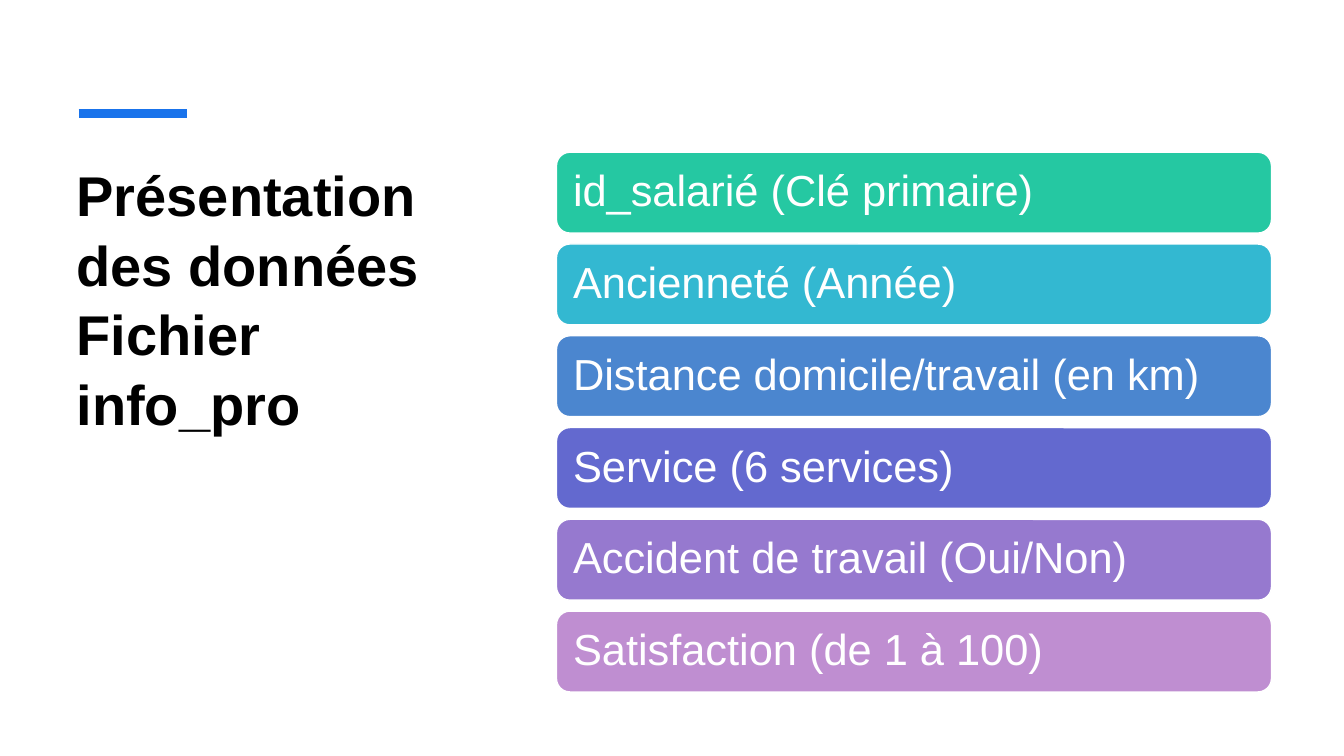
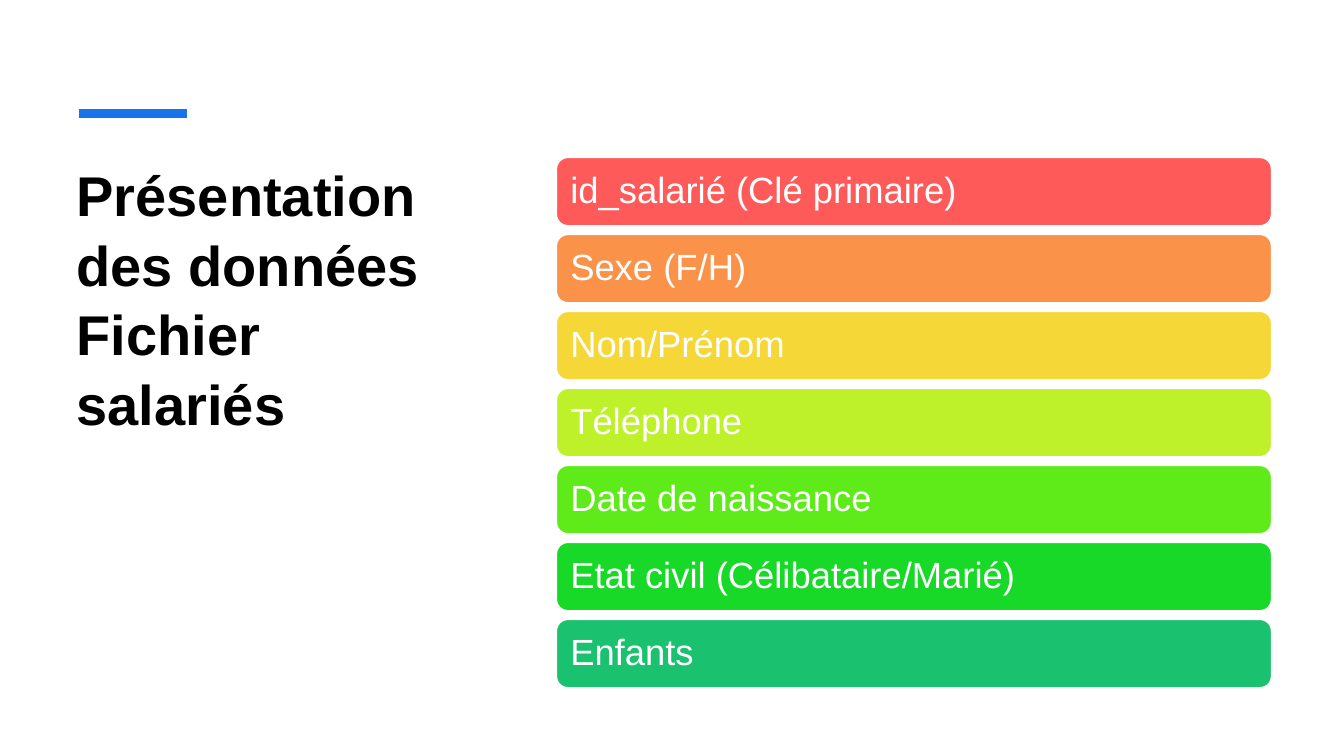
from dataclasses import dataclass

from lxml.etree import SubElement
from pptx import Presentation
from pptx.dml.color import RGBColor
from pptx.enum.shapes import MSO_CONNECTOR, MSO_SHAPE
from pptx.enum.text import MSO_ANCHOR, PP_ALIGN
from pptx.oxml.ns import qn
from pptx.util import Emu, Pt


@dataclass(frozen=True)
class Theme:
    font: str = "Arial"
    ink: str = "000000"
    paper: str = "FFFFFF"
    accent: str = "1973EB"
    title_size: int = 40
    accent_weight: int = 6
    outline_weight: int = 1


@dataclass(frozen=True)
class FieldStack:
    """Vertical extent, bar height (px) and text size (pt) of a list of fields."""
    top: int
    bottom: int
    bar_height: int
    text_size: int


THEME = Theme()
FIELD_LEFT, FIELD_WIDTH = 530, 681

INFO_PRO_FIELDS = [
    ("id_salarié (Clé primaire)", "25C8A2"),
    ("Ancienneté (Année)", "33B8D1"),
    ("Distance domicile/travail (en km)", "4B86CF"),
    ("Service (6 services)", "6369CF"),
    ("Accident de travail (Oui/Non)", "9679CF"),
    ("Satisfaction (de 1 à 100)", "BF8ED1"),
]
EMPLOYEE_FIELDS = [
    ("id_salarié (Clé primaire)", "FE5A5A"),
    ("Sexe (F/H)", "FA9349"),
    ("Nom/Prénom", "F6D738"),
    ("Téléphone", "BEF129"),
    ("Date de naissance", "5FEB1A"),
    ("Etat civil (Célibataire/Marié)", "18D828"),
    ("Enfants", "1AC16E"),
]


def px(length):
    return Emu(round(length * 9525))


def rgb(code):
    return RGBColor.from_string(code)


def set_margins(frame, margin):
    frame.margin_left = frame.margin_right = px(margin)
    frame.margin_top = frame.margin_bottom = px(margin)


def style_paragraph(paragraph, size, color, spacing, bold=False):
    paragraph.alignment = PP_ALIGN.LEFT
    paragraph.line_spacing = spacing
    font = paragraph.font
    font.name, font.size, font.bold = THEME.font, Pt(size), bold
    font.color.rgb = rgb(color)


def add_accent_line(slide):
    accent = slide.shapes.add_connector(
        MSO_CONNECTOR.STRAIGHT, px(75), px(108), px(178), px(108))
    accent.line.color.rgb = rgb(THEME.accent)
    accent.line.width = Pt(THEME.accent_weight)
    SubElement(accent._element.spPr, qn("a:effectLst"))


def add_title(slide, title):
    frame = slide.shapes.add_textbox(px(67), px(144), px(386), px(412)).text_frame
    frame.word_wrap = True
    set_margins(frame, 6)
    frame.text = title
    style_paragraph(frame.paragraphs[0], THEME.title_size, THEME.ink, 1.04, bold=True)


def add_field(slide, label, fill, top, stack):
    bar = slide.shapes.add_shape(
        MSO_SHAPE.ROUNDED_RECTANGLE,
        px(FIELD_LEFT), px(top), px(FIELD_WIDTH), px(stack.bar_height))
    bar.shadow.inherit = False
    bar.fill.solid()
    bar.fill.fore_color.rgb = rgb(fill)
    bar.line.color.rgb = rgb(THEME.paper)
    bar.line.width = Pt(THEME.outline_weight)
    frame = bar.text_frame
    frame.word_wrap = True
    frame.vertical_anchor = MSO_ANCHOR.MIDDLE
    set_margins(frame, round(stack.text_size * 0.4))
    frame.text = label
    style_paragraph(frame.paragraphs[0], stack.text_size, THEME.paper, 0.9)


def add_fields(slide, fields, stack):
    """Spread the bars evenly from the top to the bottom of the stack."""
    pitch = (stack.bottom - stack.bar_height - stack.top) / (len(fields) - 1)
    for row, (label, fill) in enumerate(fields):
        add_field(slide, label, fill, stack.top + row * pitch, stack)


def add_file_slide(deck, file_name, fields, stack):
    slide = deck.slides.add_slide(deck.slide_layouts[6])
    add_title(slide, f"Présentation des données\vFichier {file_name}")
    add_accent_line(slide)
    add_fields(slide, fields, stack)


def main():
    deck = Presentation()
    deck.slide_width, deck.slide_height = px(1280), px(720)
    add_file_slide(deck, "info_pro", INFO_PRO_FIELDS, FieldStack(145, 659, 77, 31))
    add_file_slide(deck, "salariés", EMPLOYEE_FIELDS, FieldStack(150, 655, 65, 26))
    deck.save("out.pptx")


if __name__ == "__main__":
    main()
